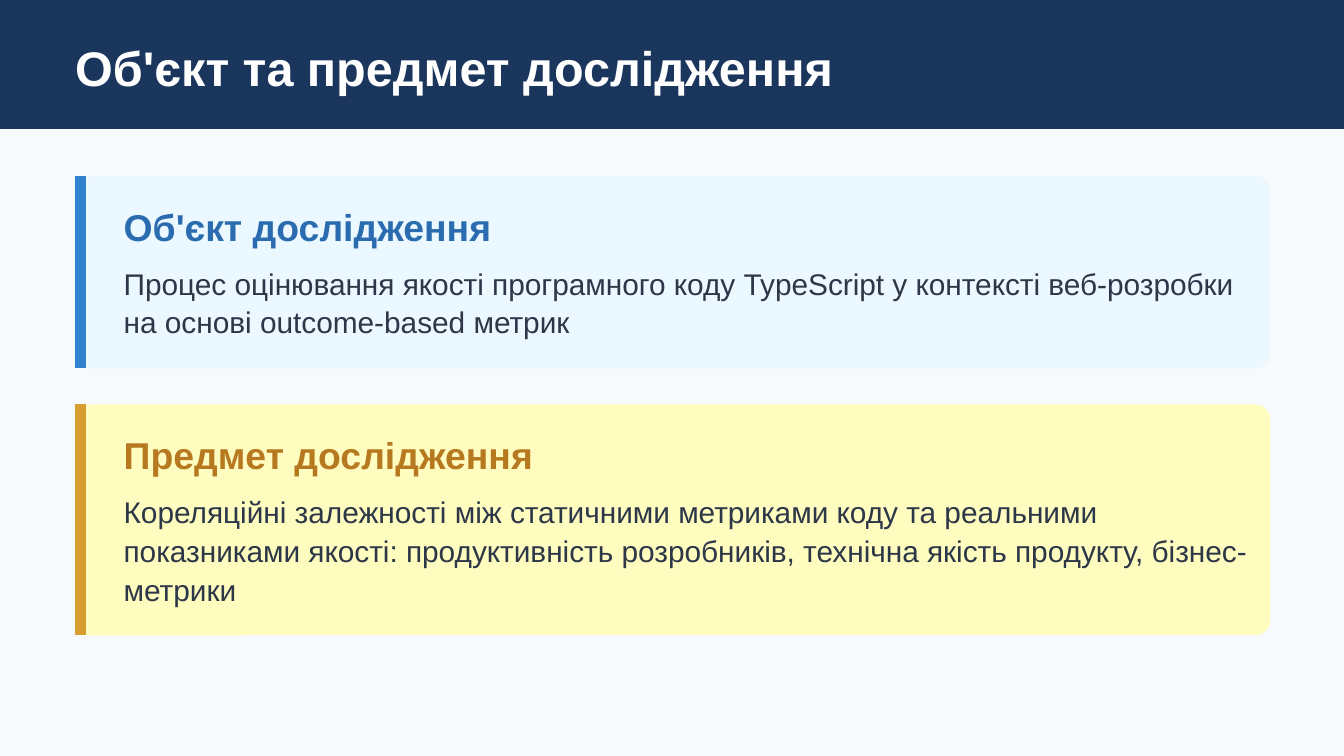
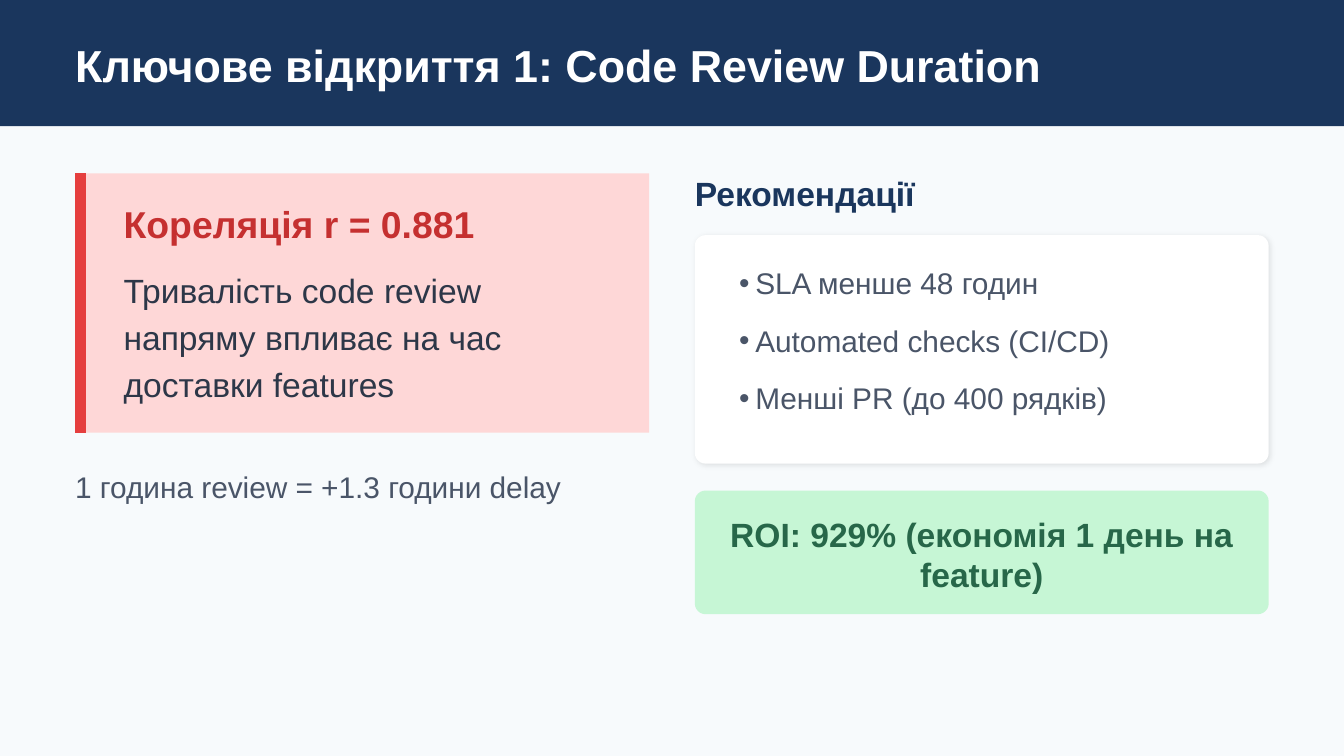
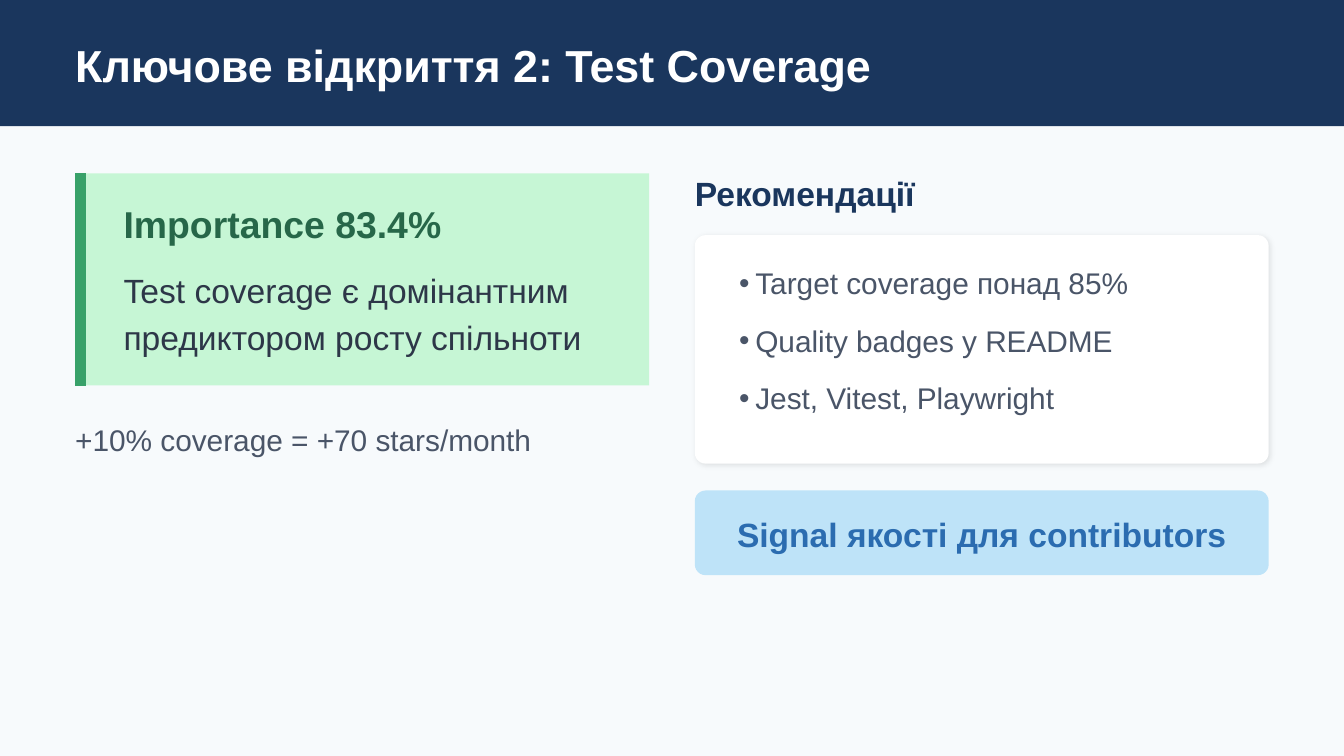
from lxml import etree
from pptx import Presentation, util as u
from pptx.dml.color import RGBColor
from pptx.enum import shapes as es, text as et
from pptx.oxml import ns

NAVY = RGBColor(0x1A, 0x36, 0x5D)
PAPER = RGBColor(0xF7, 0xFA, 0xFC)
WHITE = RGBColor(0xFF, 0xFF, 0xFF)
INK = RGBColor(0x2D, 0x37, 0x48)
SLATE = RGBColor(0x4A, 0x55, 0x68)
ICE = RGBColor(0xEB, 0xF8, 0xFF)
SKY = RGBColor(0xBE, 0xE3, 0xF8)
AZURE = RGBColor(0x31, 0x82, 0xCE)
BLUE = RGBColor(0x2B, 0x6C, 0xB0)
CREAM = RGBColor(0xFE, 0xFC, 0xBF)
GOLD = RGBColor(0xD6, 0x9E, 0x2E)
AMBER = RGBColor(0xB7, 0x79, 0x1F)
ROSE = RGBColor(0xFE, 0xD7, 0xD7)
RED = RGBColor(0xE5, 0x3E, 0x3E)
BRICK = RGBColor(0xC5, 0x30, 0x30)
MINT = RGBColor(0xC6, 0xF6, 0xD5)
GREEN = RGBColor(0x38, 0xA1, 0x69)
PINE = RGBColor(0x27, 0x67, 0x49)

# Card themes: fill, bar, heading
THEMES = {
    "blue": (ICE, AZURE, BLUE),
    "gold": (CREAM, GOLD, AMBER),
    "red": (ROSE, RED, BRICK),
    "green": (MINT, GREEN, PINE),
}

FONT = "Arial"
WIDE = 10            # slide width, at 16:9
LEFT = 0.56          # page margin
GAP = 0.27           # between a card and what follows
PAD = 0.21           # inside a card
SIDE = 5.17          # left edge of the right column
COL = 4.27           # column width


def style(item, form):
    for name, value in form.items():
        setattr(item, name, value)


def place(item, x, y, w, h):
    style(item, {"left": u.Inches(x), "top": u.Inches(y),
                 "width": u.Inches(w), "height": u.Inches(h)})


def write(frame, lines, size, color, bold=False, para=None):
    """Fill a text frame with equally formatted paragraphs."""
    style(frame, {"margin_left": 0, "margin_right": 0, "margin_top": 0,
                  "margin_bottom": 0, "word_wrap": True,
                  "auto_size": et.MSO_AUTO_SIZE.NONE,
                  "vertical_anchor": et.MSO_ANCHOR.TOP})
    frame.text = "\n".join(lines)
    for p in frame.paragraphs:
        style(p, {"alignment": et.PP_ALIGN.LEFT, **(para or {})})
        style(p.runs[0].font, {"name": FONT, "size": u.Pt(size), "bold": bold})
        p.runs[0].font.color.rgb = color


def label(slide, x, y, w, h, lines, *args, **form):
    frame = slide.shapes.add_textbox(*map(u.Inches, (x, y, w, h))).text_frame
    write(frame, lines, *args, **form)
    return frame


def panel(slide, x, y, w, h, fill, radius=0):
    kind = es.MSO_SHAPE.ROUNDED_RECTANGLE if radius else es.MSO_SHAPE.RECTANGLE
    shape = slide.shapes.add_shape(kind, *map(u.Inches, (x, y, w, h)))
    if radius:
        shape.adjustments[0] = radius / h
    shape.fill.solid()
    shape.fill.fore_color.rgb = fill
    shape.line.fill.background()
    shape.shadow.inherit = False
    return shape


def shade(shape):
    """Give a shape a faint shadow to the lower right."""
    effects = shape.element.spPr.find(ns.qn("a:effectLst"))
    cast = etree.SubElement(effects, ns.qn("a:outerShdw"), blurRad=str(u.Pt(3)),
                            dist=str(u.Pt(1.1)), dir="2700000")
    tint = etree.SubElement(cast, ns.qn("a:srgbClr"), val="000000")
    etree.SubElement(tint, ns.qn("a:alpha"), val="10000")


def bullet(p, indent):
    props = p._p.get_or_add_pPr()
    props.set("marL", str(u.Inches(indent)))
    props.set("indent", str(-u.Inches(indent)))
    etree.SubElement(props, ns.qn("a:buSzPct"), val="100000")
    etree.SubElement(props, ns.qn("a:buFont"), typeface=FONT)
    etree.SubElement(props, ns.qn("a:buChar"), char="•")


def header(deck, text, size):
    """Add a slide with its title band; return it and the content top."""
    slide = deck.slides.add_slide(deck.slide_layouts[5])
    title = slide.shapes.title
    high = 0.7 + size / 100
    band = panel(slide, 0, 0, WIDE, high, NAVY)
    title.element.addprevious(band.element)
    place(title, LEFT, 0.28, 9.07, high - 0.55)
    write(title.text_frame, [text], size, WHITE, True)
    return slide, high + 0.35


def card(slide, x, y, w, theme, head, body, rows, size, lead, after,
         right=PAD, radius=0):
    """Draw a card with a side bar, sized by its rows; return its bottom."""
    fill, edge, color = THEMES[theme]
    start = PAD + 0.32 + after / 72
    deep = rows * lead / 72
    high = start + deep + PAD
    panel(slide, x, y, w, high, fill, radius)

    mid = x + 0.04
    bar = slide.shapes.add_connector(
        es.MSO_CONNECTOR.STRAIGHT, *map(u.Inches, (mid, y, mid, y + high)))
    bar.line.color.rgb = edge
    bar.line.width = u.Pt(6)
    etree.SubElement(bar.element.spPr, ns.qn("a:effectLst"))

    left, wide = x + 0.36, w - 0.36 - right
    label(slide, left, y + PAD, wide, 0.32, [head], 20, color, bold=True,
          para={"space_after": u.Pt(after)})
    label(slide, left, y + start, wide, deep, [body], size, INK,
          para={"line_spacing": u.Pt(lead)})
    return y + high


def advice(slide, x, y, items):
    """Draw the headed list of recommendations; return its bottom."""
    label(slide, x, y, 4.36, 0.29, ["Рекомендації"], 18, NAVY, bold=True,
          para={"space_after": u.Pt(12)})
    top, high = y + 0.46, 1.7
    shade(panel(slide, x, top, COL, high, WHITE, 0.08))
    frame = label(slide, x + PAD, top + 0.2, COL - 2 * PAD, 1.14, items, 16,
                  SLATE, para={"line_spacing": u.Pt(20.8),
                               "space_after": u.Pt(10)})
    frame.margin_left = u.Inches(0.12)
    for p in frame.paragraphs:
        bullet(p, 0.12)
    return top + high


def badge(slide, x, y, text, rows, fill, color):
    pad, deep = 0.17, 0.29 * rows
    panel(slide, x, y, COL, deep + 2 * pad, fill, 0.08)
    label(slide, x + pad, y + pad, COL - 2 * pad, deep, [text], 18, color,
          bold=True, para={"alignment": et.PP_ALIGN.CENTER})


def scope(deck, title, cards):
    slide, y = header(deck, title, 26)
    for item in cards:
        y = card(slide, LEFT, y, 8.89, *item, size=16, lead=20.8, after=8,
                 right=0.11, radius=0.11) + GAP


def finding(deck, title, fact, note, items, result):
    slide, top = header(deck, title, 24)
    base = card(slide, LEFT, top, COL, *fact, size=18, lead=25.2, after=10)
    label(slide, LEFT, base + GAP, 4.36, 0.26, [note], 16, SLATE)
    base = advice(slide, SIDE, top, items)
    badge(slide, SIDE, base + 0.2, *result)


def main():
    deck = Presentation()
    style(deck, {"slide_width": u.Inches(WIDE),
                 "slide_height": u.Inches(WIDE * 9 / 16)})
    back = deck.slide_master.background.fill
    back.solid()
    back.fore_color.rgb = PAPER

    scope(deck, "Об'єкт та предмет дослідження", [
        ("blue", "Об'єкт дослідження",
         "Процес оцінювання якості програмного коду TypeScript у контексті "
         "веб-розробки на основі outcome-based метрик", 2),
        ("gold", "Предмет дослідження",
         "Кореляційні залежності між статичними метриками коду та реальними "
         "показниками якості: продуктивність розробників, технічна якість "
         "продукту, бізнес-метрики", 3),
    ])
    finding(
        deck, "Ключове відкриття 1: Code Review Duration",
        ("red", "Кореляція r = 0.881",
         "Тривалість code review напряму впливає на час доставки features", 3),
        "1 година review = +1.3 години delay",
        ["SLA менше 48 годин", "Automated checks (CI/CD)",
         "Менші PR (до 400 рядків)"],
        ("ROI: 929% (економія 1 день на feature)", 2, MINT, PINE))
    finding(
        deck, "Ключове відкриття 2: Test Coverage",
        ("green", "Importance 83.4%",
         "Test coverage є домінантним предиктором росту спільноти", 2),
        "+10% coverage = +70 stars/month",
        ["Target coverage понад 85%", "Quality badges у README",
         "Jest, Vitest, Playwright"],
        ("Signal якості для contributors", 1, SKY, BLUE))
    deck.save("out.pptx")


if __name__ == "__main__":
    main()
